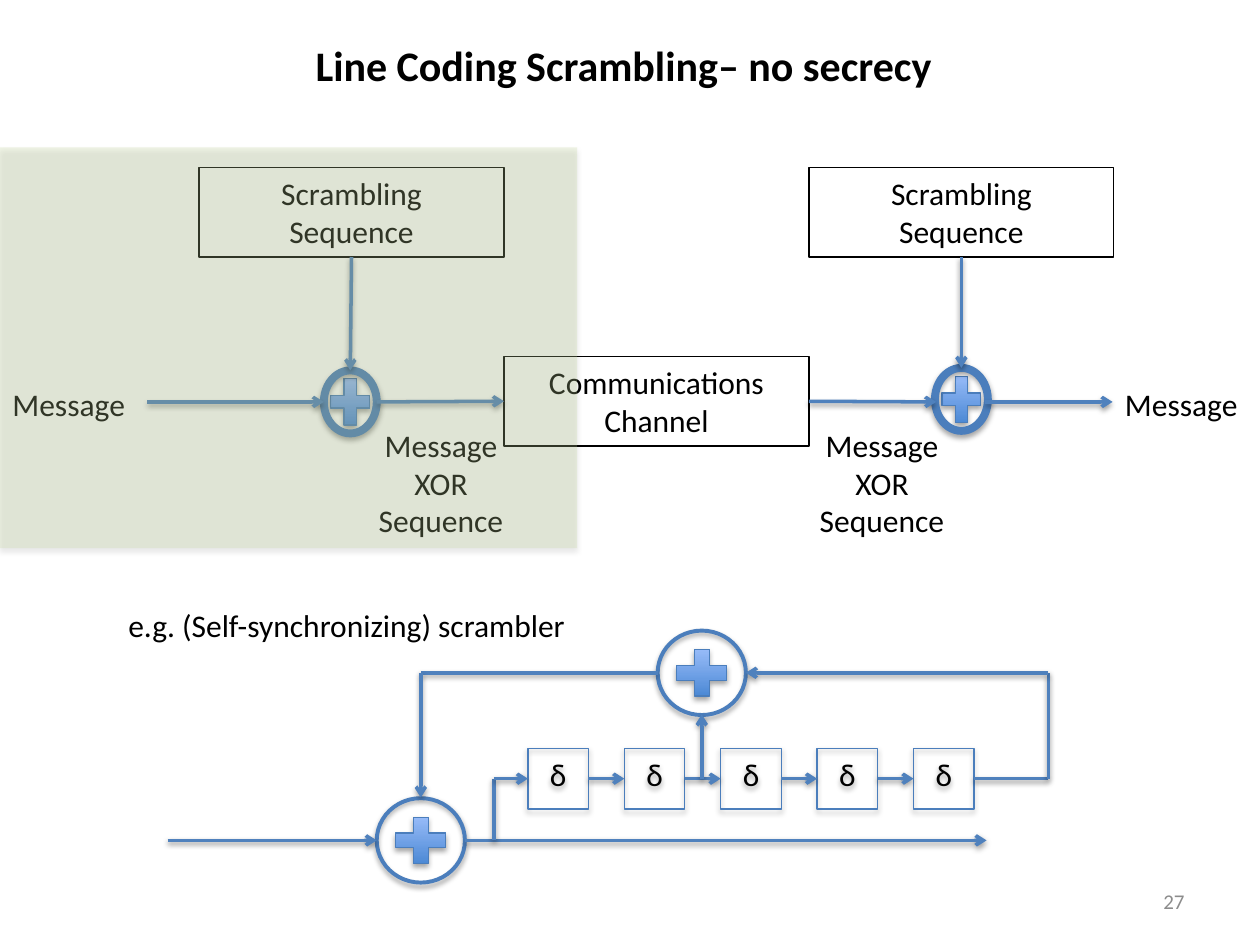
from itertools import pairwise

from lxml import etree
from pptx import Presentation
from pptx.dml.color import RGBColor
from pptx.enum.shapes import MSO_CONNECTOR, MSO_SHAPE
from pptx.enum.text import MSO_ANCHOR, MSO_AUTO_SIZE, PP_ALIGN
from pptx.oxml.ns import qn
from pptx.util import Inches, Pt

RECTANGLE, ELLIPSE, PLUS = MSO_SHAPE.RECTANGLE, MSO_SHAPE.OVAL, MSO_SHAPE.MATH_PLUS
STRAIGHT = MSO_CONNECTOR.STRAIGHT
LEFT, CENTER, RIGHT = PP_ALIGN.LEFT, PP_ALIGN.CENTER, PP_ALIGN.RIGHT
TOP, MIDDLE = MSO_ANCHOR.TOP, MSO_ANCHOR.MIDDLE
SITE_LEFT, SITE_BOTTOM, SITE_RIGHT = 1, 2, 3

BLACK, GRAY, OUTLINE, ARROW, PANEL = "000000", "8C8C8C", "4B7EBC", "4F81BD", "C3D69B"
GRADIENT = ("3F80CE", "A4C4FF")

TITLE = "Line Coding Scrambling– no secrecy"
BLOCK_SIZE = (2.42, 0.71)
BLOCKS = {
    "sender": ("Scrambling\nSequence", 1.58, 1.33),
    "receiver": ("Scrambling\nSequence", 6.42, 1.33),
    "channel": ("Communications\nChannel", 4.0, 2.83),
}
LABELS = [
    ("Message", (0, 3.01, 1.42, 0.4), LEFT),
    ("Message", (8.83, 3.01, 1.42, 0.4), LEFT),
    ("Message\nXOR\nSequence", (2.66, 3.33, 1.68, 1.01), CENTER),
    ("Message\nXOR\nSequence", (6.16, 3.33, 1.68, 1.01), CENTER),
]
EXAMPLE = "e.g. (Self-synchronizing) scrambler"
DELAYS = ["δ"] * 5
DELAY_LEFT, DELAY_TOP, DELAY_SIZE, DELAY_STEP = 4.19, 5.94, 0.48, 0.765
DELAY_MIDDLE = DELAY_TOP + DELAY_SIZE / 2

SIGNAL_Y, OUTPUT_Y, FEEDBACK_Y = 3.19, 6.67, 5.34
SMALL_ADDER = {"ring": (0.42, 0.5), "plus": (0.42, 0.5), "weight": 4.5}
LARGE_ADDER = {"ring": (0.7, 0.67), "plus": (0.54, 0.5), "weight": 2.25}
SENDER_X, RECEIVER_X, INPUT_X, TAP_X = 2.78, 7.63, 3.34, 5.57
BRANCH_X, LOOP_X = 3.92, 8.32

deck = Presentation()
deck.slide_width, deck.slide_height = Inches(10), Inches(7.5)
page = deck.slides.add_slide(deck.slide_layouts[5])


def color(value):
    return RGBColor.from_string(value)


def write(shape, text, size=18, fill=BLACK, bold=False, align=CENTER, anchor=TOP):
    frame = shape.text_frame
    frame.word_wrap = True
    frame.auto_size = MSO_AUTO_SIZE.NONE
    frame.vertical_anchor = anchor
    frame.text = text
    for para in frame.paragraphs:
        para.alignment = align
        para.font.name, para.font.size, para.font.bold = "Calibri", Pt(size), bold
        para.font.color.rgb = color(fill)


def add_label(text, area, **style):
    box = page.shapes.add_textbox(*map(Inches, area))
    write(box, text, **style)


def cast_shadow(shape, alpha=35, distance=1.8):
    properties = shape._element.spPr
    effects = properties.find(qn("a:effectLst"))
    if effects is None:
        effects = etree.SubElement(properties, qn("a:effectLst"))
    shadow = etree.SubElement(
        effects, qn("a:outerShdw"), blurRad=str(Pt(3.1)), dist=str(Pt(distance)),
        dir="5400000", rotWithShape="0")
    tone = etree.SubElement(shadow, qn("a:srgbClr"), val=BLACK)
    etree.SubElement(tone, qn("a:alpha"), val=str(alpha * 1000))


def add_outline(kind, area, line=OUTLINE, weight=0.75, shadow=True):
    shape = page.shapes.add_shape(kind, *map(Inches, area))
    shape.shadow.inherit = False
    shape.fill.background()
    shape.line.color.rgb = color(line)
    shape.line.width = Pt(weight)
    if shadow:
        cast_shadow(shape)
    return shape


def add_adder(x, y, ring, plus, weight):
    def centered(size):
        return x - size[0] / 2, y - size[1] / 2, *size

    sign = add_outline(PLUS, centered(plus))
    sign.fill.gradient()
    sign.fill.gradient_angle = 90
    for stop, tone in zip(sign.fill.gradient_stops, GRADIENT):
        stop.color.rgb = color(tone)
    add_outline(ELLIPSE, centered(ring), weight=weight)


def add_route(*points, start=None, end=None, arrow=True):
    segments = []
    for first, last in pairwise(points):
        segment = page.shapes.add_connector(STRAIGHT, *map(Inches, first + last))
        segment.line.color.rgb = color(ARROW)
        segment.line.width = Pt(2)
        segments.append(segment)
    if start:
        segments[0].begin_connect(*start)
    if end:
        segments[-1].end_connect(*end)
    if arrow:
        etree.SubElement(segments[-1].line._get_or_add_ln(), qn("a:tailEnd"), type="arrow")
    for segment in segments:
        cast_shadow(segment, alpha=38, distance=1.6)


def add_title():
    title = page.shapes.title
    title.left, title.top, title.width, title.height = map(Inches, (1.99, 0.26, 5.92, 0.5))
    write(title, TITLE, size=24, bold=True)


def add_channel_diagram():
    blocks = {}
    for name, (text, left, top) in BLOCKS.items():
        blocks[name] = add_outline(RECTANGLE, (left, top, *BLOCK_SIZE), line=BLACK, shadow=False)
        write(blocks[name], text)
    add_adder(SENDER_X, SIGNAL_Y, **SMALL_ADDER)
    add_adder(RECEIVER_X, SIGNAL_Y - 0.02, **SMALL_ADDER)
    add_route((1.17, SIGNAL_Y), (2.57, SIGNAL_Y))
    add_route((2.99, SIGNAL_Y), (4, SIGNAL_Y), end=(blocks["channel"], SITE_LEFT))
    add_route((6.42, SIGNAL_Y), (7.43, SIGNAL_Y), start=(blocks["channel"], SITE_RIGHT))
    add_route((7.82, SIGNAL_Y), (8.83, SIGNAL_Y))
    add_route((SENDER_X, 2.04), (SENDER_X, 2.94), start=(blocks["sender"], SITE_BOTTOM))
    add_route((RECEIVER_X, 2.04), (RECEIVER_X, 2.92), start=(blocks["receiver"], SITE_BOTTOM))
    for text, area, align in LABELS:
        add_label(text, area, align=align)


def add_panel():
    panel = add_outline(RECTANGLE, (0, 1.17, 4.58, 3.18))
    panel.line.fill.background()
    panel.fill.solid()
    panel.fill.fore_color.rgb = color(PANEL)
    tone = panel._element.spPr.find(qn("a:solidFill")).find(qn("a:srgbClr"))
    etree.SubElement(tone, qn("a:alpha"), val="25000")


def add_scrambler():
    add_adder(TAP_X, FEEDBACK_Y, **LARGE_ADDER)
    add_adder(INPUT_X, OUTPUT_Y, **LARGE_ADDER)
    add_route((3.69, OUTPUT_Y), (7.83, OUTPUT_Y))
    add_route((1.33, OUTPUT_Y), (2.99, OUTPUT_Y))
    cells = []
    for index, text in enumerate(DELAYS):
        left = DELAY_LEFT + index * DELAY_STEP
        cell = add_outline(RECTANGLE, (left, DELAY_TOP, DELAY_SIZE, DELAY_SIZE))
        write(cell, text)
        cells.append(cell)
    middle = (DELAY_LEFT, DELAY_MIDDLE)
    for first, last in pairwise(cells):
        add_route(middle, middle, start=(first, SITE_RIGHT), end=(last, SITE_LEFT))
    add_route((TAP_X, DELAY_MIDDLE), (TAP_X, 5.67))
    add_route((7.73, DELAY_MIDDLE), (LOOP_X, DELAY_MIDDLE), (LOOP_X, FEEDBACK_Y),
              (5.92, FEEDBACK_Y), start=(cells[-1], SITE_RIGHT))
    add_route((5.22, FEEDBACK_Y), (INPUT_X, FEEDBACK_Y), (INPUT_X, 6.33))
    add_route((BRANCH_X, OUTPUT_Y), (BRANCH_X, DELAY_MIDDLE), middle, end=(cells[0], SITE_LEFT))
    add_label(EXAMPLE, (0.92, 4.76, 3.89, 0.4), align=LEFT)


add_title()
add_channel_diagram()
add_panel()
add_scrambler()
add_label("27", (7.17, 6.95, 2.33, 0.4), size=12, fill=GRAY, align=RIGHT, anchor=MIDDLE)
deck.save("out.pptx")
